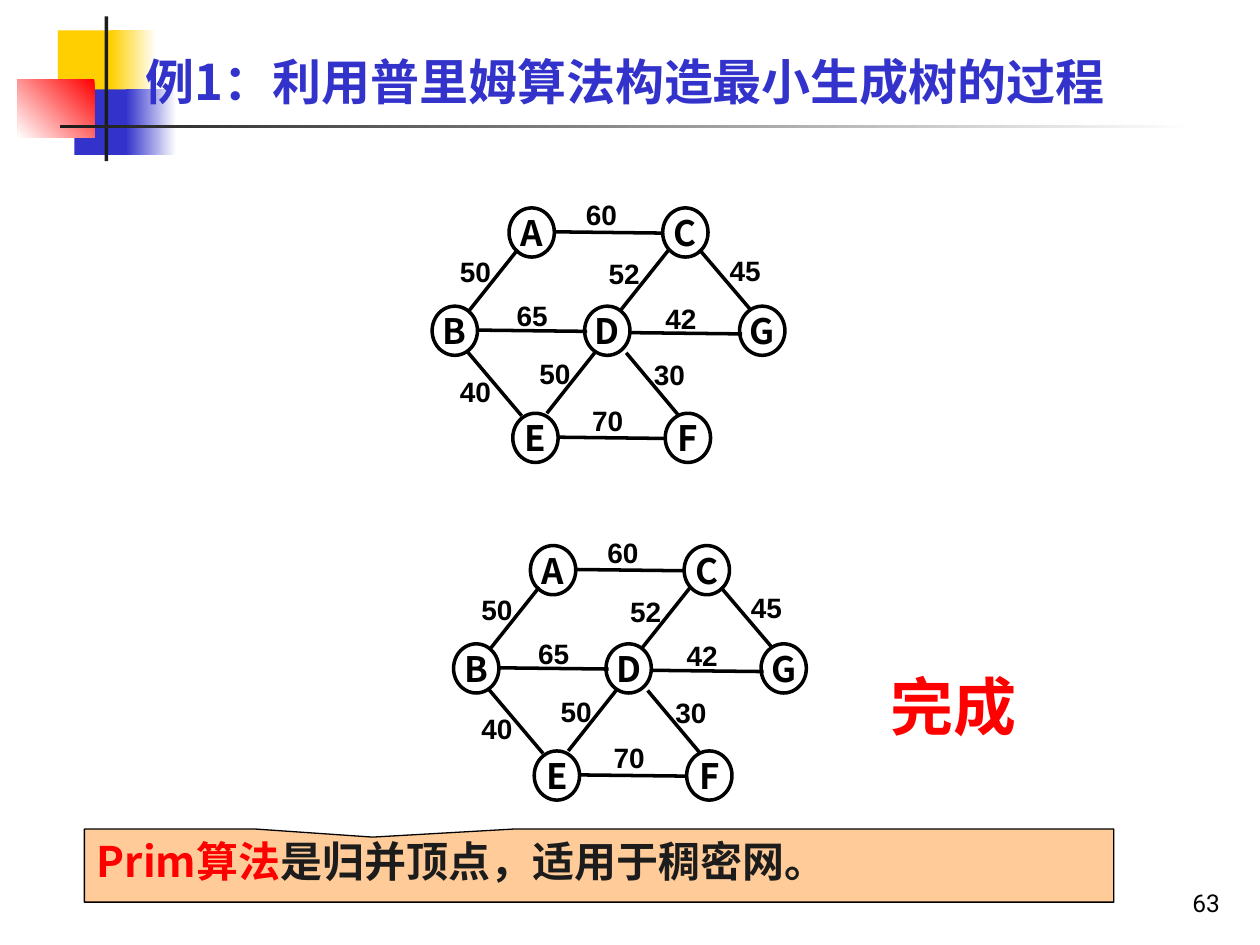
from pptx import Presentation
from pptx.util import Emu, Pt
from pptx.dml.color import RGBColor
from pptx.enum.shapes import MSO_CONNECTOR, MSO_SHAPE
from pptx.enum.text import MSO_ANCHOR, PP_ALIGN
from pptx.oxml.ns import qn
from lxml import etree

PX = 9144
RECT = MSO_SHAPE.RECTANGLE
OVAL = MSO_SHAPE.OVAL
CALL = MSO_SHAPE.RECTANGULAR_CALLOUT
LINE = MSO_CONNECTOR.STRAIGHT
TOP, MID, LOW = MSO_ANCHOR.TOP, MSO_ANCHOR.MIDDLE, MSO_ANCHOR.BOTTOM
LEFT, CENTER, RIGHT = PP_ALIGN.LEFT, PP_ALIGN.CENTER, PP_ALIGN.RIGHT
CJK = "Noto Sans CJK SC"

HEX = {
    "gold": "FFCF01",
    "blue": "3333CC",
    "red": "FF0000",
    "white": "FFFFFF",
    "ink": "1C1C1C",
    "black": "000000",
    "peach": "FFCC99",
}

DECOR = [
    ((46, 24, 48, 52), ["gold"], 0),
    ((88, 24, 36, 52), ["white", "gold"], 180),
    ((59, 71, 46, 52), ["blue"], 0),
    ((100, 71, 40, 52), ["white", "blue"], 180),
    ((14, 63, 61, 46), ["red", "white"], 225),
    ((83, 13, 3, 115), ["ink"], 0),
    ((48, 99, 900, 3), ["white", "ink"], 180),
]

NODES = {
    "A": (404, 165),
    "C": (526, 165),
    "B": (343, 243),
    "D": (464, 243),
    "E": (407, 328),
    "F": (528, 328),
    "G": (587, 243),
}

EDGES = [
    ("50", (411, 198), (372, 247), (365, 202)),
    ("45", (555, 198), (595, 245), (579, 201)),
    ("40", (370, 278), (414, 330), (365, 297)),
    ("65", (378, 262), (466, 263), (410, 237)),
    ("42", (499, 264), (589, 265), (528, 239)),
    ("52", (531, 198), (492, 247), (483, 204)),
    ("50", (472, 280), (434, 328), (428, 283)),
    ("60", (440, 184), (527, 185), (465, 157)),
    ("30", (497, 280), (538, 329), (519, 284)),
    ("70", (443, 347), (529, 348), (470, 320)),
]


def px(*nums):
    return [Emu(n * PX) for n in nums]


def rgb(name):
    return RGBColor.from_string(HEX[name])


def move(spot, by):
    return spot[0] + by[0], spot[1] + by[1]


def shape(slide, kind, at, fill=None, edge=0):
    item = slide.shapes.add_shape(kind, *px(*at))
    item.shadow.inherit = False
    if fill:
        item.fill.solid()
        item.fill.fore_color.rgb = rgb(fill)
    else:
        item.fill.background()
    if edge:
        item.line.color.rgb = rgb("black")
        item.line.width = Pt(edge)
    else:
        item.line.fill.background()
    return item


def block(slide, at, tints, angle):
    item = shape(slide, RECT, at, tints[0])
    if len(tints) > 1:
        item.fill.gradient()
        item.fill.gradient_angle = angle
        for stop, tint in zip(item.fill.gradient_stops, tints):
            stop.color.rgb = rgb(tint)


def write(item, runs, size, font=CJK, bold=True, align=LEFT, anchor=TOP,
          inset=(10, 5), wrap=True):
    frame = item.text_frame
    frame.word_wrap = wrap
    frame.vertical_anchor = anchor
    frame.margin_left = frame.margin_right = Emu(inset[0] * PX)
    frame.margin_top = frame.margin_bottom = Emu(inset[1] * PX)
    para = frame.paragraphs[0]
    para.alignment = align
    for words, tint in runs:
        run = para.add_run()
        run.text = words
        run.font.size = Pt(size)
        run.font.bold = bold
        run.font.name = font
        run.font.color.rgb = rgb(tint)
        east = etree.SubElement(run.font._element, qn("a:ea"))
        east.set("typeface", CJK)


def text(slide, at, words, tint, size, **style):
    box = slide.shapes.add_textbox(*px(*at))
    write(box, [(words, tint)], size, **style)


def link(slide, start, end):
    line = slide.shapes.add_connector(LINE, *px(*start, *end))
    line.line.color.rgb = rgb("black")
    line.line.width = Pt(2)
    etree.SubElement(line._element.spPr, qn("a:effectLst"))


def graph(slide, shift):
    for name, spot in NODES.items():
        node = shape(slide, OVAL, (*move(spot, shift), 36, 39), edge=2)
        write(node, [(name, "black")], 20, align=CENTER, anchor=MID,
              inset=(0, 0), wrap=False)
    for _, start, end, _ in EDGES:
        link(slide, move(start, shift), move(end, shift))
    for cost, _, _, spot in EDGES:
        text(slide, (*move(spot, shift), 55, 27), cost, "black", 16,
             font="Arial", inset=(0, 0))


def note(slide):
    box = shape(slide, CALL, (67, 658, 817, 58), "peach", 0.75)
    box.adjustments[0] = -0.22
    box.adjustments[1] = -0.39
    write(box, [("Prim算法", "red"), ("是归并顶点，适用于稠密网。", "ink")], 24)


def main():
    deck = Presentation()
    deck.slide_width, deck.slide_height = px(1000, 750)
    slide = deck.slides.add_slide(deck.slide_layouts[6])
    for at, tints, angle in DECOR:
        block(slide, at, tints, angle)
    for shift in ((0, 0), (17, 268)):
        graph(slide, shift)
    text(slide, (106, 36, 827, 57), "例1：利用普里姆算法构造最小生成树的过程",
         "blue", 28)
    text(slide, (697, 525, 134, 70), "完成", "red", 36, font="Times New Roman")
    note(slide)
    text(slide, (770, 683, 208, 50), "63", "black", 14, font="Roboto",
         bold=False, align=RIGHT, anchor=LOW)
    deck.save("out.pptx")


if __name__ == "__main__":
    main()
